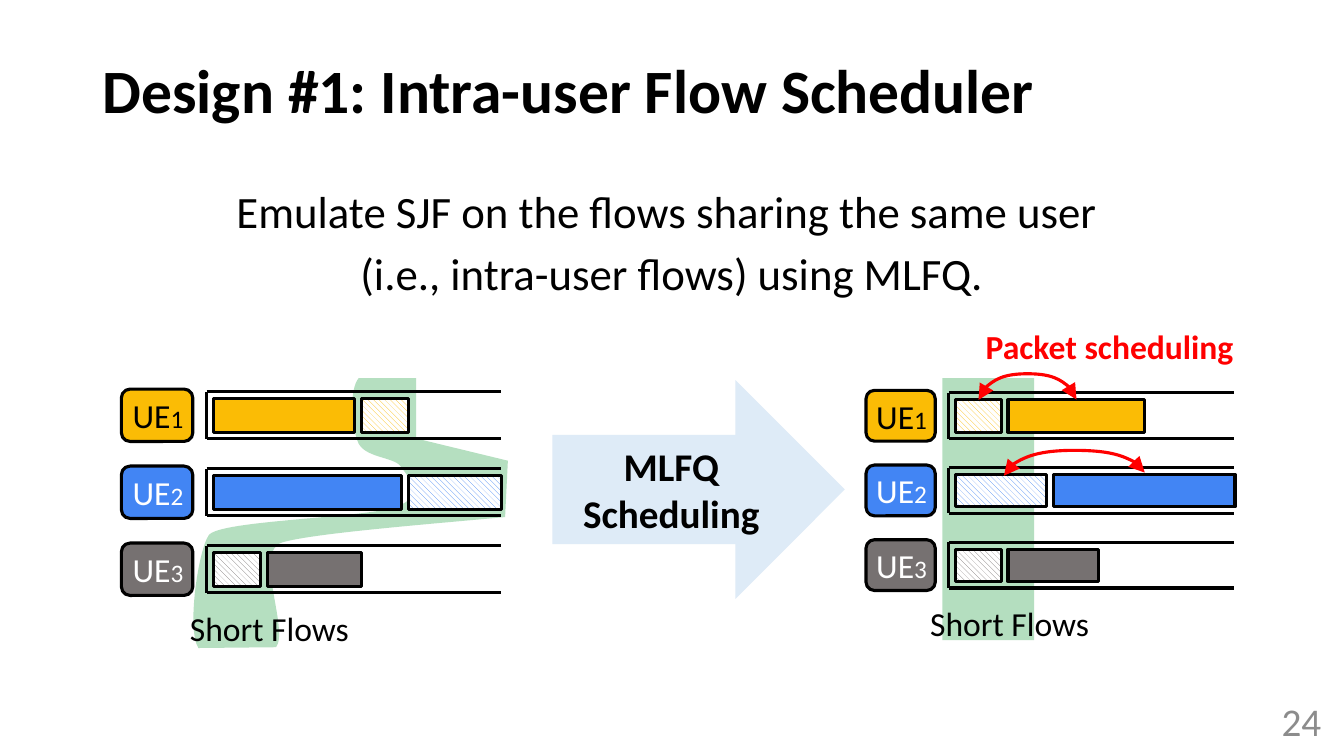
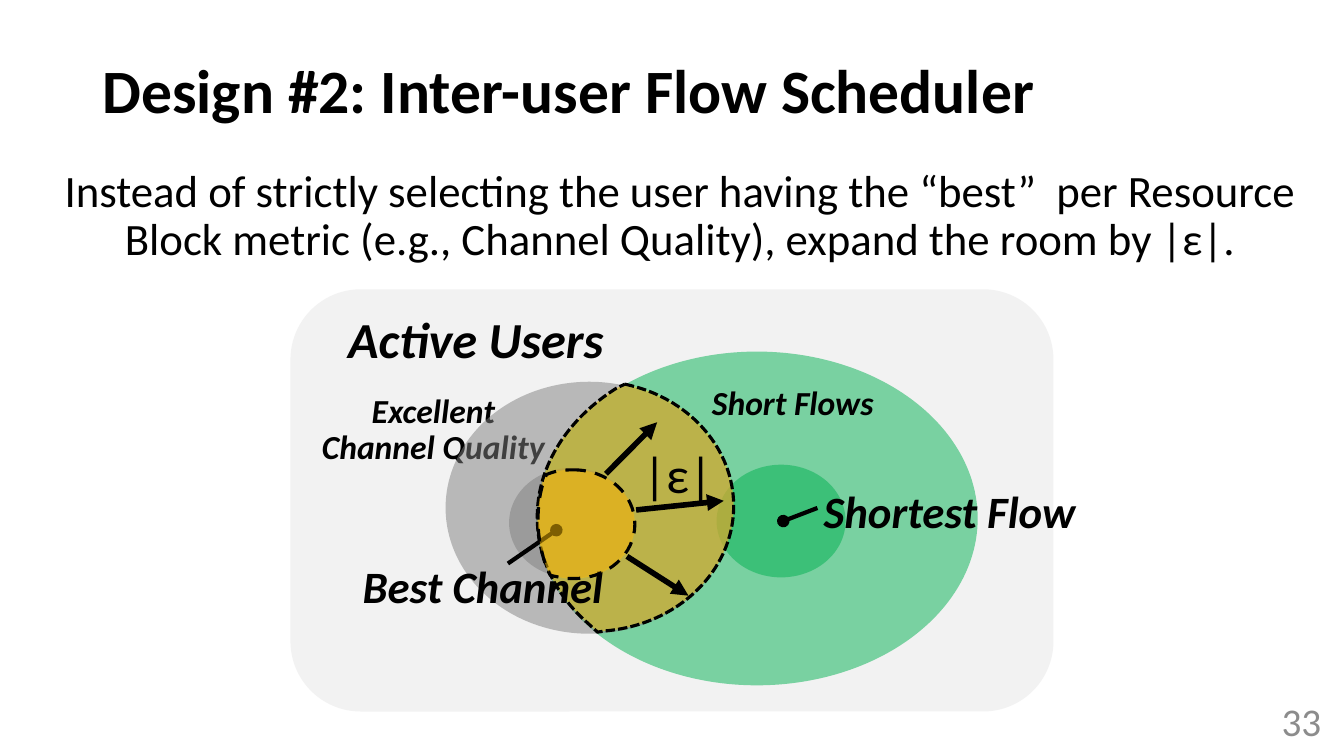
from dataclasses import dataclass

from lxml.etree import SubElement
from pptx import Presentation
from pptx.dml.color import RGBColor
from pptx.enum.dml import MSO_LINE_DASH_STYLE as Dash, MSO_PATTERN_TYPE as Pattern
from pptx.enum.shapes import MSO_AUTO_SHAPE_TYPE as Preset, MSO_CONNECTOR_TYPE as Link
from pptx.enum.text import MSO_ANCHOR as Anchor, MSO_AUTO_SIZE as AutoSize, PP_ALIGN as Align
from pptx.oxml.ns import qn
from pptx.util import Cm, Pt


@dataclass(frozen=True)
class Theme:
    font: str = "Calibri"
    black: str = "000000"
    white: str = "FFFFFF"
    red: str = "FF0000"
    muted: str = "8C8C8C"
    yellow: str = "FBBC05"
    blue: str = "4285F4"
    gray: str = "767171"
    highlight: str = "34A853"
    arrow: str = "DEEBF7"
    room: str = "F2F2F2"
    short: str = "79D1A1"
    shortest: str = "00B050"
    channel: str = "808080"
    title_size: int = 44
    heading_size: int = 36
    body_size: int = 32
    number_size: int = 28
    label_size: int = 24
    index_size: int = 18
    outline: float = 2.25
    pointer: float = 3
    thrust: float = 4


THEME = Theme()
TITLE = dict(size=THEME.title_size, bold=True)
BODY = dict(size=THEME.body_size)
NUMBER = dict(size=THEME.number_size, color=THEME.muted)
LABEL = dict(size=THEME.label_size)
ALERT = dict(LABEL, bold=True, color=THEME.red)
ACTION = dict(size=THEME.number_size, bold=True)
SET_NAME = dict(LABEL, bold=True, italic=True)
ROOM_NAME = dict(SET_NAME, size=THEME.heading_size)
POINT_NAME = dict(SET_NAME, size=THEME.body_size)
SYMBOL = dict(size=THEME.heading_size)

TITLE_BOX = (2.33, 1.02, 29.21, 2.69)
NUMBER_BOX = (25.93, 17.65, 7.62, 1.02)

INTRA = dict(
    title="Design #1: Intra-user Flow Scheduler",
    number="24",
    body=["Emulate SJF on the flows sharing the same user ", "(i.e., intra-user flows) using MLFQ."],
    body_box=(2.33, 4.65, 29.21, 12.52),
)
INTER = dict(
    title="Design #2: Inter-user Flow Scheduler",
    number="33",
    body=["Instead of strictly selecting the user having the “best”  per Resource Block metric "
          "(e.g., Channel Quality), expand the room by |ε|."],
    body_box=(0.76, 4.13, 32.79, 13.03),
)

USERS = [("1", THEME.yellow, THEME.black), ("2", THEME.blue, THEME.white), ("3", THEME.gray, THEME.white)]
LONG, SHORT = False, True
PANELS = [
    dict(left=5.21, top=9.87, scale=1,
         flows=[[(3, LONG), (1, SHORT)], [(4, LONG), (2, SHORT)], [(1, SHORT), (2, LONG)]]),
    dict(left=23.91, top=9.9, scale=0.97,
         flows=[[(1, SHORT), (3, LONG)], [(2, SHORT), (4, LONG)], [(1, SHORT), (2, LONG)]]),
]
QUEUE_PITCH, QUEUE_WIDTH, QUEUE_HEIGHT = 1.94, 7.42, 1.19
FLOW_UNIT, FLOW_HEIGHT, FLOW_GAP = 1.18, 0.84, 0.18
BADGE_OFFSET, BADGE_WIDTH, BADGE_HEIGHT = 2.15, 1.8, 1.32
CAPTION_OFFSET, CAPTION_DROP, CAPTION_WIDTH, CAPTION_HEIGHT = 2.13, 5.33, 7.42, 1.27

SCATTERED_BAND = [
    (9.04, 9.53), (8.79, 9.83, 8.86, 10.8, 9.04, 11.18), (9.25, 11.56, 9.98, 11.51, 10.13, 11.79),
    (10.29, 12.04, 10.77, 12.5, 9.96, 12.78), (9.14, 13.06, 5.51, 13.11, 5.26, 13.49),
    (5, 13.87, 4.7, 15.85, 5, 16.33), (6.96, 16.31), (7.29, 15.85, 6.38, 13.89, 7.11, 13.67),
    (7.87, 13.44, 10.8, 13.21, 12.73, 13.03), (12.8, 11.61), (10.49, 11.05), (10.49, 9.53),
]
ALIGNED_BAND = (23.75, 9.53, 2.31, 6.6)
SWAPS = [(24.66, 27.13, 10.08, 0.01, 0.66), (25.3, 28.85, 11.99, 0.08, 0.64)]

OVERLAP = [
    (15.75, 9.68), (15.95, 9.73), (17.42, 10.11, 18.49, 11.33, 18.49, 12.75),
    (18.49, 14.4, 17.07, 15.75, 15.24, 15.9), (15.06, 15.93), (14.81, 15.7),
    (14, 14.99, 13.54, 14.05, 13.54, 13.03), (13.54, 11.71, 14.33, 10.54, 15.54, 9.78),
]
BEST_OVERLAP = [
    (14.45, 11.84), (15.32, 11.84, 16, 12.45, 16, 13.21), (16, 13.97, 15.32, 14.58, 14.45, 14.58),
    (14.33, 14.58, 14.22, 14.58, 14.12, 14.55), (13.87, 14.5), (13.79, 14.35),
    (13.64, 13.94, 13.56, 13.54, 13.56, 13.11), (13.56, 12.8, 13.59, 12.52, 13.67, 12.24),
    (13.77, 11.96), (13.82, 11.94), (14.02, 11.86, 14.22, 11.84, 14.45, 11.84),
]
TIGHT = dict(spacing=0.9)
FREE = dict(wrap=False, align=Align.LEFT)
DIAGRAM = [
    ("shape", Preset.ROUNDED_RECTANGLE, (7.32, 7.29, 19.23, 10.64), dict(fill=THEME.room)),
    ("shape", Preset.OVAL, (13.51, 8.86, 11.13, 8.41), dict(fill=THEME.short)),
    ("text", ["Short Flows"], (15.27, 9.62, 9.42, 1.65), dict(TIGHT, style=SET_NAME)),
    ("text", ["Active Users"], (8.35, 7.81, 7.29, 1.63), dict(TIGHT, style=ROOM_NAME)),
    ("shape", Preset.OVAL, (18.06, 11.71, 3.25, 2.84), dict(fill=THEME.shortest, alpha=50)),
    ("shape", Preset.OVAL, (12.83, 11.79, 3.15, 2.77), dict(fill=THEME.channel, alpha=50)),
    ("text", ["Excellent Channel Quality"], (7.62, 9.82, 6.6, 2.46), dict(TIGHT, style=SET_NAME)),
    ("shape", Preset.OVAL, (11.23, 9.62, 7.24, 6.35), dict(fill=THEME.channel, alpha=50)),
    ("outline", OVERLAP, THEME.yellow, dict(alpha=50, line=THEME.black, dash=Dash.SQUARE_DOT)),
    ("text", ["Best Channel"], (8.89, 13.95, 6.65, 1.63), dict(FREE, style=POINT_NAME)),
    ("line", (19.74, 13.13), (20.6, 12.8), dict(width=THEME.pointer, head="oval")),
    ("line", (14.02, 13.36), (12.8, 14.2), dict(width=THEME.pointer, head="oval")),
    ("text", ["Shortest Flow"], (20.47, 12.07, 6.93, 1.63), dict(wrap=False, style=POINT_NAME)),
    ("outline", BEST_OVERLAP, THEME.yellow, dict(alpha=50, line=THEME.black, dash=Dash.DASH)),
    ("text", ["|ε|"], (15.72, 11.05, 2.72, 1.8), dict(style=SYMBOL)),
    ("line", (15.27, 11.94), (16.56, 10.64), dict(width=THEME.thrust, tail="triangle")),
    ("line", (16.03, 12.85), (18.24, 12.62), dict(width=THEME.thrust, tail="triangle")),
    ("line", (15.8, 14.02), (17.35, 15.01), dict(width=THEME.thrust, tail="triangle")),
]


def rgb(color):
    return RGBColor.from_string(color)


def lengths(values):
    return [Cm(value) for value in values]


def apply(target, **values):
    for name, value in values.items():
        setattr(target, name, value)


def style_font(font, size, color=THEME.black, **values):
    apply(font, name=THEME.font, size=Pt(size), **values)
    font.color.rgb = rgb(color)


def write(frame, lines, style, align=Align.CENTER, spacing=1.0, wrap=True, anchor=Anchor.TOP):
    apply(frame, word_wrap=wrap, auto_size=AutoSize.NONE, vertical_anchor=anchor)
    for index, line in enumerate(lines):
        paragraph = frame.add_paragraph() if index else frame.paragraphs[0]
        apply(paragraph, alignment=align, line_spacing=spacing, space_before=Pt(10 if index else 0))
        run = paragraph.add_run()
        run.text = line
        style_font(run.font, **style)


def add_text(slide, lines, box, **options):
    write(slide.shapes.add_textbox(*lengths(box)).text_frame, lines, **options)


def paint(shape, fill, alpha=None, line=None, dash=None, hatched=False):
    shape.shadow.inherit = False
    if hatched:
        shape.fill.patterned()
        shape.fill.pattern = Pattern.WIDE_DOWNWARD_DIAGONAL
        shape.fill.back_color.rgb = rgb(THEME.white)
    else:
        shape.fill.solid()
    shape.fill.fore_color.rgb = rgb(fill)
    if alpha:
        color = shape.element.spPr.find(qn("a:solidFill"))[0]
        SubElement(color, qn("a:alpha")).set("val", str(alpha * 1000))
    if line:
        shape.line.color.rgb = rgb(line)
        apply(shape.line, width=Pt(THEME.outline), dash_style=dash)
    else:
        shape.line.fill.background()


def add_shape(slide, preset, box, **look):
    shape = slide.shapes.add_shape(preset, *lengths(box))
    paint(shape, **look)
    return shape


def bend(shape, segments):
    steps = list(shape.element.spPr.iter(qn("a:lnTo")))
    for step, segment in zip(steps, segments):
        if len(segment) == 6:
            step.tag = qn("a:cubicBezTo")
            step.remove(step[0])
            for x, y in zip(segment[::2], segment[1::2]):
                point = SubElement(step, qn("a:pt"))
                point.set("x", str(Cm(x) - shape.left))
                point.set("y", str(Cm(y) - shape.top))


def add_outline(slide, segments, fill, **look):
    builder = slide.shapes.build_freeform(*lengths(segments[0]))
    builder.add_line_segments([lengths(segment[-2:]) for segment in segments[1:]], close=False)
    shape = builder.convert_to_shape()
    bend(shape, segments[1:])
    SubElement(next(shape.element.spPr.iter(qn("a:path"))), qn("a:close"))
    paint(shape, fill, **look)


def add_line(slide, start, end, width=THEME.outline, color=THEME.black, head=None, tail=None,
             tip="med", kind=Link.STRAIGHT):
    connector = slide.shapes.add_connector(kind, *lengths(start + end))
    connector.line.color.rgb = rgb(color)
    connector.line.width = Pt(width)
    properties = connector._element.spPr
    for tag, end_type in (("a:headEnd", head), ("a:tailEnd", tail)):
        if end_type:
            marker = SubElement(properties.find(qn("a:ln")), qn(tag))
            for name, value in dict(type=end_type, w=tip, len=tip).items():
                marker.set(name, value)
    SubElement(properties, qn("a:effectLst"))
    return connector


def add_swap(slide, left, right, bottom, rise, lift):
    x, y, half = (left + right) / 2, bottom - rise / 2, (right - left) / 2
    connector = add_line(slide, (x - rise / 2, y - half), (x + rise / 2, y + half), color=THEME.red,
                         head="triangle", tail="triangle", tip="lg", kind=Link.CURVE)
    properties = connector._element.spPr
    frame = properties.find(qn("a:xfrm"))
    for name, value in dict(rot="5400000", flipH="1", flipV="1").items():
        frame.set(name, value)
    guide = SubElement(properties.find(qn("a:prstGeom")).find(qn("a:avLst")), qn("a:gd"))
    guide.set("name", "adj1")
    guide.set("fmla", f"val {round(lift / rise * 100000)}")


def add_badge(slide, box, index, fill, color):
    badge = add_shape(slide, Preset.ROUNDED_RECTANGLE, box, fill=fill, line=THEME.black)
    frame = badge.text_frame
    apply(frame, margin_left=Cm(0.05), margin_right=0, margin_top=0, margin_bottom=0)
    write(frame, ["UE"], dict(LABEL, color=color), wrap=False, anchor=Anchor.MIDDLE)
    run = frame.paragraphs[0].add_run()
    run.text = index
    style_font(run.font, THEME.index_size, color)


def add_panel(slide, left, top, scale, flows):
    height, right = QUEUE_HEIGHT * scale, left + QUEUE_WIDTH * scale
    for row, ((index, fill, color), queue) in enumerate(zip(USERS, flows)):
        y = top + row * QUEUE_PITCH * scale
        for start, end in (((left, y), (right, y)), ((left, y + height), (right, y + height)),
                           ((left, y), (left, y + height))):
            add_line(slide, start, end)
        x = left + FLOW_GAP * scale
        for units, short in queue:
            width = units * FLOW_UNIT * scale
            box = (x, y + FLOW_GAP * scale, width, FLOW_HEIGHT * scale)
            add_shape(slide, Preset.RECTANGLE, box, fill=fill, line=THEME.black, hatched=short)
            x += width + FLOW_GAP * scale
        badge_height = BADGE_HEIGHT * scale
        box = (left - BADGE_OFFSET * scale, y + (height - badge_height) / 2, BADGE_WIDTH * scale, badge_height)
        add_badge(slide, box, index, fill, color)
    caption = (left - CAPTION_OFFSET * scale, top + CAPTION_DROP * scale, CAPTION_WIDTH * scale, CAPTION_HEIGHT)
    add_text(slide, ["Short Flows"], caption, style=LABEL)


def start_slide(presentation, title, number, body, body_box):
    slide = presentation.slides.add_slide(presentation.slide_layouts[5])
    heading = slide.shapes.title
    apply(heading, **dict(zip(("left", "top", "width", "height"), lengths(TITLE_BOX))))
    write(heading.text_frame, [title], TITLE, align=Align.LEFT, spacing=0.9, anchor=Anchor.MIDDLE)
    add_text(slide, body, body_box, style=BODY, spacing=0.9)
    add_text(slide, [number], NUMBER_BOX, style=NUMBER, align=Align.RIGHT, anchor=Anchor.MIDDLE)
    return slide


def build_intra(presentation):
    slide = start_slide(presentation, **INTRA)
    arrow = add_shape(slide, Preset.RIGHT_ARROW, (13.92, 9.58, 7.37, 5.51), fill=THEME.arrow)
    write(arrow.text_frame, ["MLFQ Scheduling"], ACTION, anchor=Anchor.MIDDLE)
    add_outline(slide, SCATTERED_BAND, THEME.highlight, alpha=36)
    add_shape(slide, Preset.RECTANGLE, ALIGNED_BAND, fill=THEME.highlight, alpha=37)
    for panel in PANELS:
        add_panel(slide, **panel)
    for swap in SWAPS:
        add_swap(slide, *swap)
    add_text(slide, ["Packet scheduling"], (24.59, 8.1, 6.83, 1.27), style=ALERT, **FREE)


def build_inter(presentation):
    slide = start_slide(presentation, **INTER)
    draw = dict(shape=add_shape, text=add_text, outline=add_outline, line=add_line)
    for kind, first, second, options in DIAGRAM:
        draw[kind](slide, first, second, **options)


def main():
    presentation = Presentation()
    apply(presentation, slide_width=Cm(33.87), slide_height=Cm(19.05))
    build_intra(presentation)
    build_inter(presentation)
    presentation.save("out.pptx")


if __name__ == "__main__":
    main()
